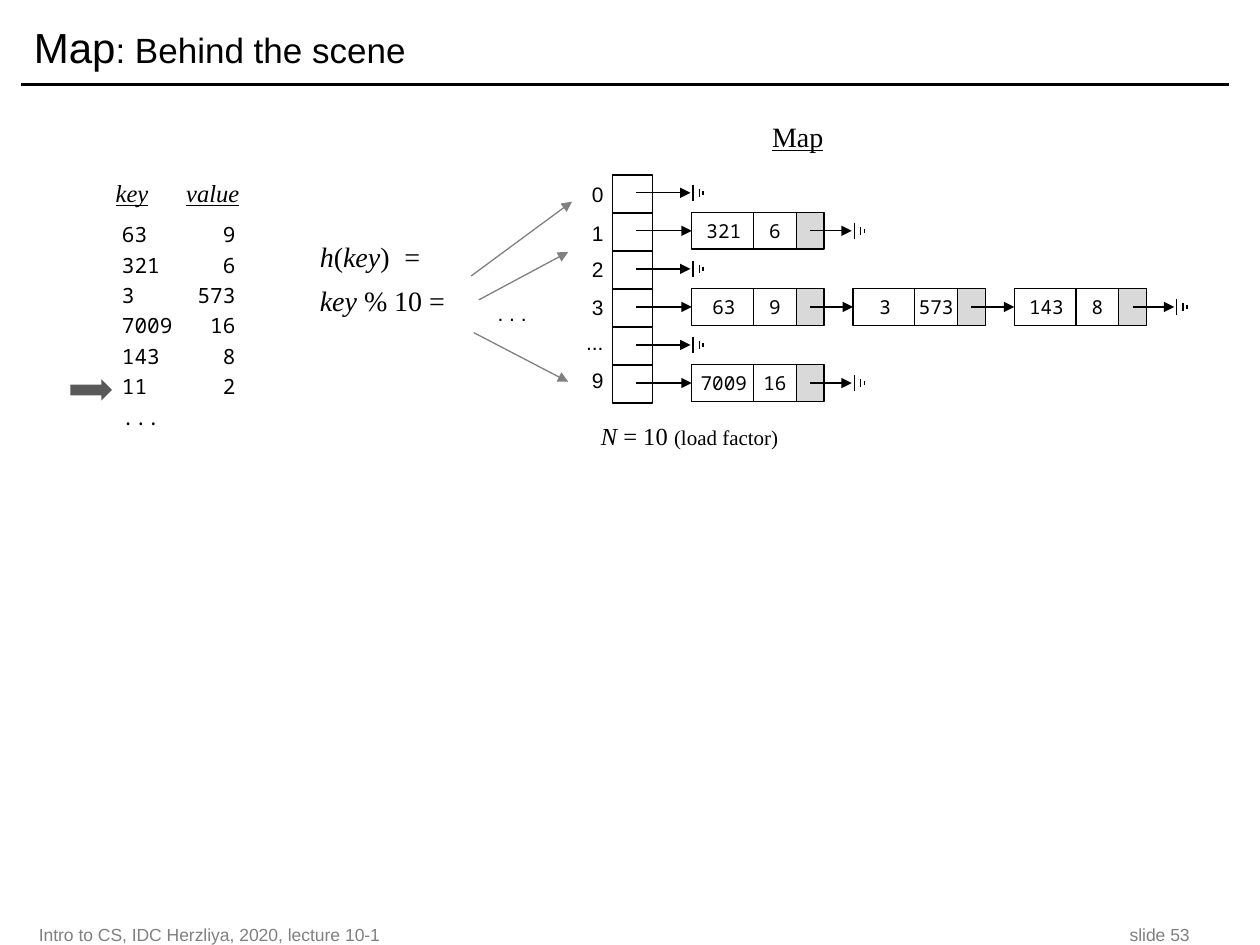
"""Build the slide showing how a map stores its entries in hash buckets."""
import pptx
import pptx.dml.color
import pptx.enum.shapes
import pptx.enum.text
import pptx.oxml.ns
import pptx.util
from lxml import etree

Inches, Pt = pptx.util.Inches, pptx.util.Pt
RGBColor = pptx.dml.color.RGBColor
SHAPE = pptx.enum.shapes.MSO_SHAPE
ALIGN = pptx.enum.text.PP_ALIGN
ANCHOR = pptx.enum.text.MSO_ANCHOR
qn = pptx.oxml.ns.qn

BLACK = RGBColor(0x00, 0x00, 0x00)
WHITE = RGBColor(0xFF, 0xFF, 0xFF)
GRAY = RGBColor(0x80, 0x80, 0x80)
DARK = RGBColor(0x59, 0x59, 0x59)
LIGHT = RGBColor(0xD9, 0xD9, 0xD9)
SANS, MONO, SERIF = "Arial", "Noto Sans Mono", "Times New Roman"

ENTRIES = [("63", "9"), ("321", "6"), ("3", "573"), ("7009", "16"),
           ("143", "8"), ("11", "2")]
BUCKETS = [
    ("0", 1.39, []),
    ("1", 1.7, [("321", "6")]),
    ("2", 1.99, []),
    ("3", 2.29, [("63", "9"), ("3", "573"), ("143", "8")]),
    ("...", 2.57, []),
    ("9", 2.87, [("7009", "16")]),
]
HASH_ARROWS = [(3.74, 2.19, 4.54, 1.6), (3.8, 2.38, 4.51, 2),
               (3.76, 2.64, 4.51, 3.03)]
GROUND_BARS = [(0.02, 0.13), (0.07, 0.06), (0.1, 0.03)]

BUCKET_X, BUCKET_W, BUCKET_H = 4.86, 0.32, 0.3
FIRST_TOP, LAST_TOP = 1.39, 2.9
NODE_X, NODE_STEP, NODE_H = 5.49, 1.28, 0.29
KEY_W, VALUE_DX, VALUE_W = 0.51, 0.49, 0.34
POINTER_DX, POINTER_W, TAIL_DX = 0.82, 0.23, 0.94
LABEL_INSETS = (0, 0.05, 0.08, 0.05)
CELL_INSETS = (0, 0.05, 0, 0.05)

prs = pptx.Presentation()
prs.slide_width, prs.slide_height = Inches(10), Inches(7.5)
s = prs.slides.add_slide(prs.slide_layouts[6])


def write(sp, paragraphs, font, size, color=BLACK, align=ALIGN.LEFT, before=0,
          spacing=None, insets=(0.1, 0.05, 0.1, 0.05), anchor=ANCHOR.TOP, tab=None):
    """Fill a shape with paragraphs of (text, overrides) runs."""
    tf = sp.text_frame
    tf.word_wrap, tf.vertical_anchor = True, anchor
    (tf.margin_left, tf.margin_top,
     tf.margin_right, tf.margin_bottom) = [Inches(v) for v in insets]
    for i, runs in enumerate(paragraphs):
        p = tf.add_paragraph() if i else tf.paragraphs[0]
        p.alignment = align
        p.line_spacing = spacing
        if i:
            p.space_before = Pt(before)
        if tab:
            tabs = etree.SubElement(p._p.get_or_add_pPr(), qn("a:tabLst"))
            etree.SubElement(tabs, qn("a:tab"), pos=str(Inches(tab[0])), algn=tab[1])
        for text, style in runs:
            r = p.add_run()
            r.text = text
            r.font.name, r.font.size = font, Pt(style.get("size", size))
            r.font.color.rgb = color
            r.font.italic = style.get("italic")
            r.font.underline = style.get("underline")


def add_text(x, y, w, h, paragraphs, font, size, **options):
    """Add a text box."""
    sp = s.shapes.add_textbox(Inches(x), Inches(y), Inches(w), Inches(h))
    write(sp, paragraphs, font, size, **options)


def add_box(x, y, w, h, fill=None, text=None, kind=SHAPE.RECTANGLE, outline=BLACK):
    """Add a cell or block shape."""
    sp = s.shapes.add_shape(kind, Inches(x), Inches(y), Inches(w), Inches(h))
    sp.shadow.inherit = False
    if fill is None:
        sp.fill.background()
    else:
        sp.fill.solid()
        sp.fill.fore_color.rgb = fill
    if outline is None:
        sp.line.fill.background()
    else:
        sp.line.color.rgb, sp.line.width = outline, Pt(0.75)
    if text:
        write(sp, [[(text, {})]], MONO, 11, align=ALIGN.CENTER, insets=CELL_INSETS)
    return sp


def add_line(x1, y1, x2, y2, color=BLACK, width=0.75, arrow=False, target=None):
    """Add a line, optionally with an arrowhead and a joined end."""
    sp = s.shapes.add_connector(pptx.enum.shapes.MSO_CONNECTOR.STRAIGHT,
                                Inches(x1), Inches(y1), Inches(x2), Inches(y2))
    sp.line.color.rgb, sp.line.width = color, Pt(width)
    if arrow:
        etree.SubElement(sp.line._get_or_add_ln(), qn("a:tailEnd"), type="triangle")
    etree.SubElement(sp._element.spPr, qn("a:effectLst"))
    if target is not None:
        sp.end_connect(target, 1)


def add_chain(y, nodes):
    """Draw the linked nodes of one bucket and the closing ground sign."""
    tail = BUCKET_X + 0.19
    for i, (key, value) in enumerate(nodes):
        x, top = NODE_X + i * NODE_STEP, y - NODE_H / 2
        key_cell = add_box(x, top, KEY_W, NODE_H, text=key)
        add_box(x + POINTER_DX, top, POINTER_W, NODE_H, LIGHT)
        add_box(x + VALUE_DX, top, VALUE_W, NODE_H, WHITE, value)
        add_line(tail, y, x, y, arrow=True, target=key_cell)
        tail = x + TAIL_DX
    end = NODE_X + len(nodes) * NODE_STEP - 0.01
    add_line(tail, y, end, y, arrow=True)
    for dx, height in GROUND_BARS:
        add_line(end + dx, y - height / 2, end + dx, y + height / 2)


add_line(0.17, 0.67, 9.75, 0.67, width=2)
add_text(0.17, 0.08, 9.58, 0.58, [[("Map", {}), (": Behind the scene", {"size": 20})]],
         SANS, 24, anchor=ANCHOR.MIDDLE)
for x, w, text, align in [
        (0.21, 5, "Intro to CS, IDC Herzliya, 2020, lecture 10-1", ALIGN.LEFT),
        (8.04, 1.5, "slide 53", ALIGN.RIGHT)]:
    add_text(x, 7.31, w, 0.22, [[(text, {})]], SANS, 10, color=GRAY,
             align=align, anchor=ANCHOR.MIDDLE)

italic, heading = {"italic": True}, {"italic": True, "underline": True}
add_text(0.82, 1.41, 3.17, 0.33, [[("key", heading), ("\t", {}), ("value", heading)]],
         SERIF, 14, spacing=0.8, tab=(0.56, "l"))
rows = [[(f"{key}\t{value}", {})] for key, value in ENTRIES] + [[("...", {})]]
add_text(0.87, 1.71, 2.63, 2.44, rows, MONO, 12, before=3, tab=(0.9, "r"))
add_box(0.56, 3.01, 0.33, 0.17, DARK, kind=SHAPE.RIGHT_ARROW, outline=None)

add_text(2.44, 1.85, 1.25, 0.72,
         [[("h", italic), ("(", {}), ("key", italic), (")\t=", {})],
          [("key", italic), (" % 10 =", {})]],
         SERIF, 16, before=6, tab=(0.67, "l"))
add_text(3.76, 2.34, 0.5, 0.3, [[(". . .", {})]], SANS, 12,
         align=ALIGN.RIGHT, insets=LABEL_INSETS)
for ends in HASH_ARROWS:
    add_line(*ends, color=GRAY, arrow=True)

add_text(6.03, 0.95, 0.86, 0.33, [[("Map", {"underline": True})]], SERIF, 16, spacing=0.8)
pitch = (LAST_TOP - FIRST_TOP) / (len(BUCKETS) - 1)
for i, (label, label_top, nodes) in enumerate(BUCKETS):
    top = FIRST_TOP + i * pitch
    add_box(BUCKET_X, top, BUCKET_W, BUCKET_H)
    add_text(4.37, label_top, 0.5, 0.3, [[(label, {})]], SANS, 12,
             align=ALIGN.RIGHT, insets=LABEL_INSETS)
    add_chain(top + 0.14, nodes)
add_text(4.67, 3.29, 1.64, 0.34,
         [[("N", italic), (" = 10 ", {}), ("(load factor)", {"size": 12})]], SERIF, 14)

prs.save("out.pptx")
